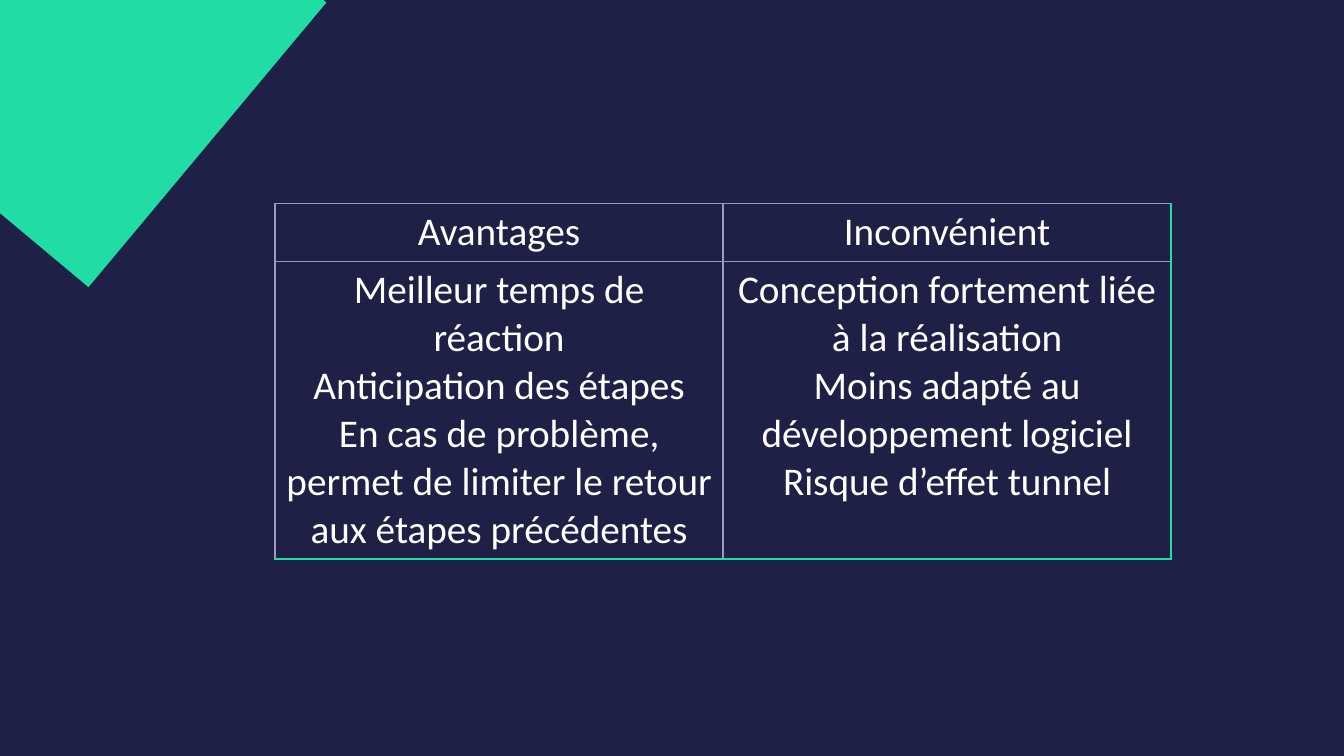
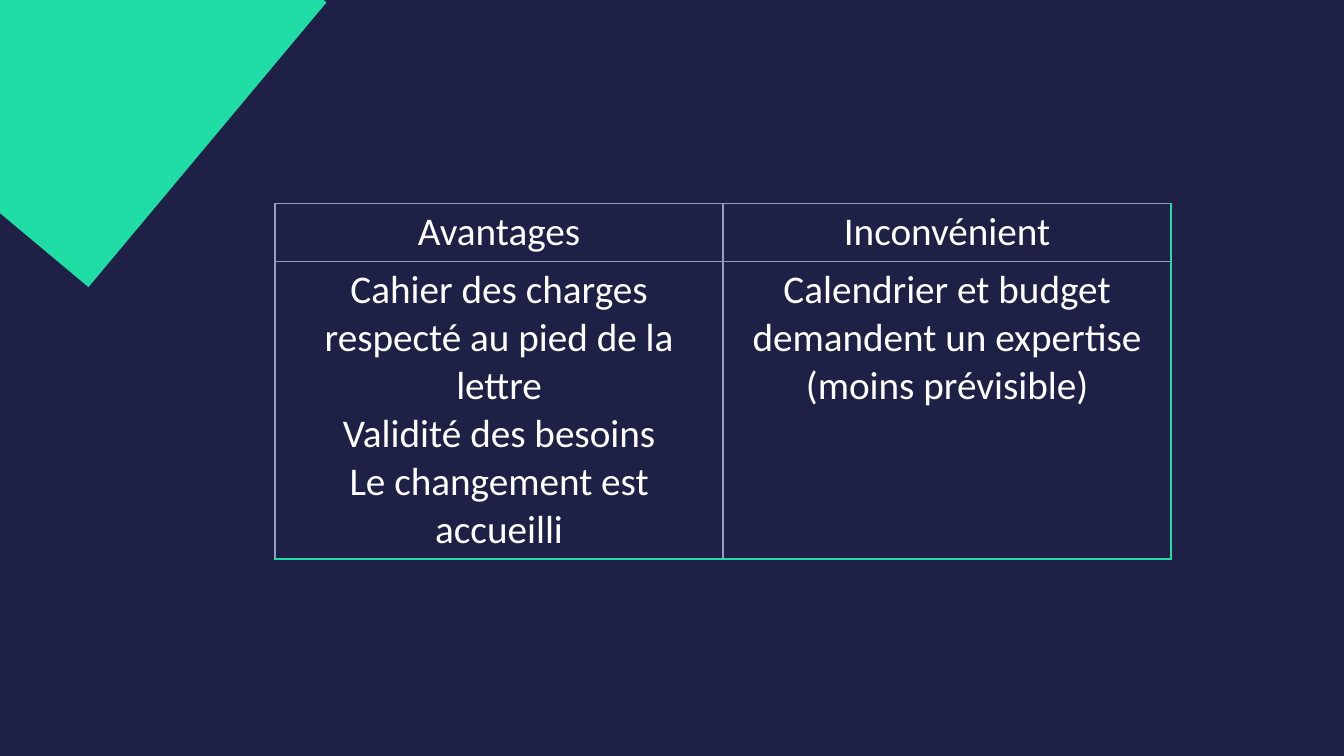
from dataclasses import dataclass

from lxml import etree
from pptx import Presentation
from pptx.dml.color import RGBColor
from pptx.enum.shapes import MSO_SHAPE
from pptx.enum.text import PP_ALIGN
from pptx.oxml.ns import qn
from pptx.slide import Slide
from pptx.table import Table, _Cell
from pptx.util import Pt

RECT = MSO_SHAPE.RECTANGLE
CENTER = PP_ALIGN.CENTER

NAVY, GREEN, LILAC, WHITE = "1E2046", "20DDA6", "9A9BC4", "FFFFFF"
HEADS = ("Avantages", "Inconvénient")
WIDTH = 320
ROWS = (41.4, 212.2)


def color(code: str) -> RGBColor:
    return RGBColor.from_string(code)


FONT = {"name": "Calibri", "size": Pt(28), "bold": False}


@dataclass(frozen=True)
class Page:
    pros: tuple[str, ...]
    cons: tuple[str, ...]


PAGES = (
    Page(
        pros=(
            "Meilleur temps de réaction",
            "Anticipation des étapes",
            "En cas de problème, permet de limiter le retour aux étapes précédentes",
        ),
        cons=(
            "Conception fortement liée à la réalisation",
            "Moins adapté au développement logiciel",
            "Risque d’effet tunnel",
        ),
    ),
    Page(
        pros=(
            "Cahier des charges respecté au pied de la lettre",
            "Validité des besoins",
            "Le changement est accueilli",
        ),
        cons=("Calendrier et budget demandent un expertise (moins prévisible)",),
    ),
)


def add_corner(slide: Slide) -> None:
    shape = slide.shapes.add_shape(RECT, Pt(-71.3), Pt(-108.7), Pt(248.4), Pt(265))
    shape.rotation = 39.9
    shape.shadow.inherit = False
    shape.fill.solid()
    shape.fill.fore_color.rgb = color(GREEN)
    shape.line.fill.background()


def add_edges(cell: _Cell, edges: dict[str, str]) -> None:
    """Draw cell borders; edges maps a side (L, R, T, B) to its colour."""
    props = cell._tc.get_or_add_tcPr()
    for side, code in edges.items():
        line = etree.SubElement(props, qn(f"a:ln{side}"), w=str(Pt(1)))
        fill = etree.SubElement(line, qn("a:solidFill"))
        etree.SubElement(fill, qn("a:srgbClr"), val=code)


def fill_cell(cell: _Cell, lines: tuple[str, ...]) -> None:
    cell.fill.background()
    cell.text = "\n".join(lines)
    for para in cell.text_frame.paragraphs:
        para.alignment = CENTER
        for run in para.runs:
            for key, value in FONT.items():
                setattr(run.font, key, value)
            run.font.color.rgb = color(WHITE)


def add_grid(slide: Slide, page: Page) -> Table:
    cells = (tuple((head,) for head in HEADS), (page.pros, page.cons))
    table = slide.shapes.add_table(
        len(ROWS), len(HEADS), Pt(196.5), Pt(145.4),
        Pt(WIDTH * len(HEADS)), Pt(sum(ROWS)),
    ).table
    table.first_row = table.horz_banding = False
    for col in table.columns:
        col.width = Pt(WIDTH)
    for r, height in enumerate(ROWS):
        table.rows[r].height = Pt(height)
        for c, lines in enumerate(cells[r]):
            cell = table.cell(r, c)
            add_edges(cell, {
                "L": LILAC,
                "R": GREEN if c == len(HEADS) - 1 else LILAC,
                "T": LILAC,
                "B": GREEN if r == len(ROWS) - 1 else LILAC,
            })
            fill_cell(cell, lines)
    return table


def main() -> None:
    deck = Presentation()
    deck.slide_width, deck.slide_height = Pt(960), Pt(540)
    back = deck.slide_master.background.fill
    back.solid()
    back.fore_color.rgb = color(NAVY)
    for page in PAGES:
        slide = deck.slides.add_slide(deck.slide_layouts[6])
        add_corner(slide)
        add_grid(slide, page)
    deck.save("out.pptx")


if __name__ == "__main__":
    main()
